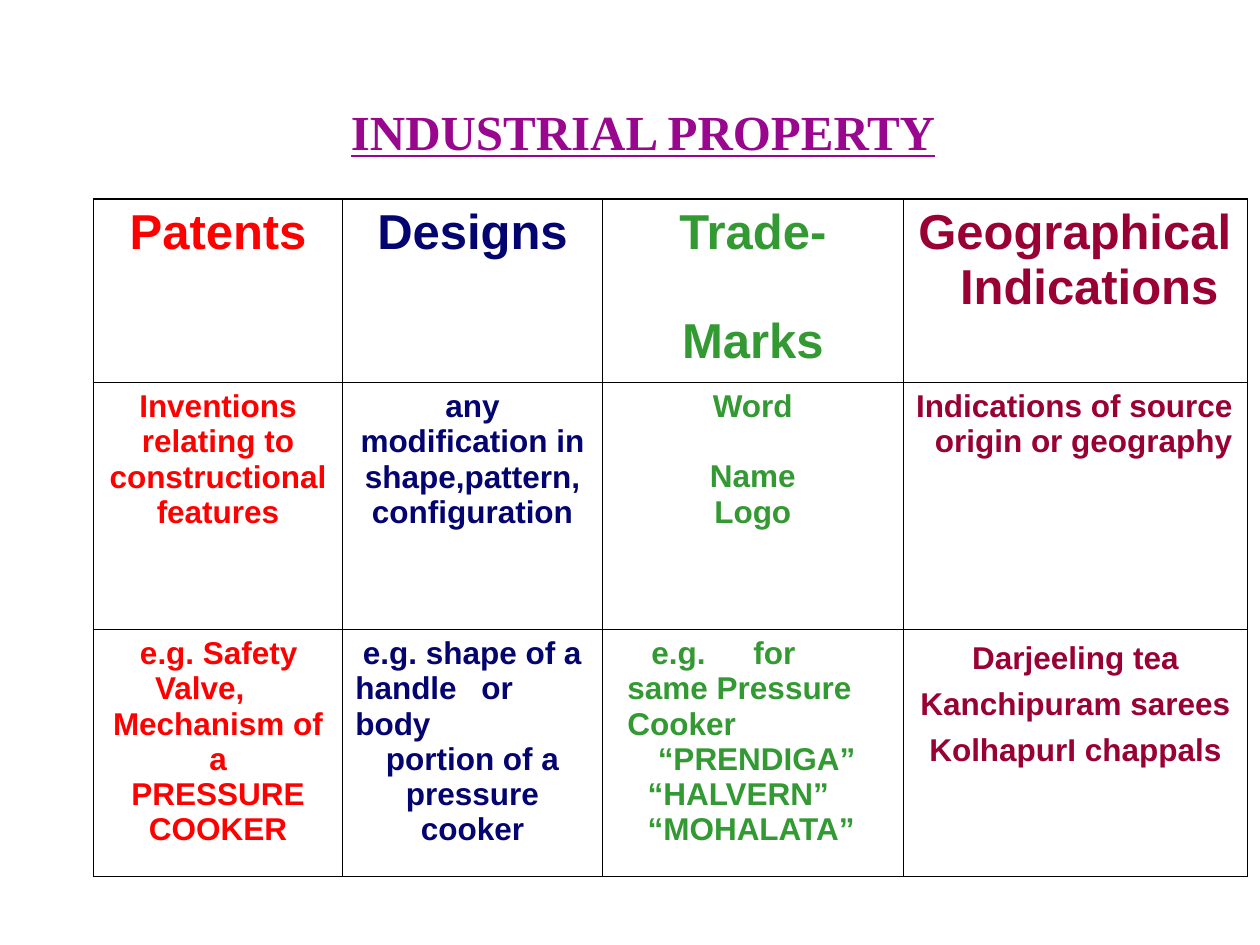
from dataclasses import dataclass

from lxml import etree
from pptx import Presentation
from pptx.dml.color import RGBColor
from pptx.enum.text import MSO_ANCHOR, MSO_AUTO_SIZE, PP_ALIGN
from pptx.oxml.ns import qn
from pptx.util import Pt

CENTER, LEFT = PP_ALIGN.CENTER, PP_ALIGN.LEFT
TOP = MSO_ANCHOR.TOP
FIT_SHAPE = MSO_AUTO_SIZE.SHAPE_TO_FIT_TEXT

PURPLE = RGBColor(0x99, 0x07, 0x8F)
RED = RGBColor(0xFF, 0x00, 0x00)
NAVY = RGBColor(0x04, 0x04, 0x70)
GREEN = RGBColor(0x33, 0x99, 0x33)
MAROON = RGBColor(0x99, 0x00, 0x33)
BLACK = RGBColor(0x00, 0x00, 0x00)

HEADING_SIZE, BODY_SIZE = 28, 18
COLUMN_COLORS = [RED, NAVY, GREEN, MAROON]
COLUMN_WIDTHS = [142.6, 148.3, 172.1, 196.6]
ROW_HEIGHTS = [105.1, 141.1, 141.1]


@dataclass
class Line:
    """A paragraph; it is centred unless it has a left margin. Lengths in points."""
    text: str
    margin: float = 0
    indent: float = 0
    before: float = 0
    spacing: float = 0
    tab: float = 0


ROWS = [
    # Kinds of property
    [
        [Line("Patents", before=3.5)],
        [Line("Designs", before=3.5)],
        [Line("Trade-", before=3.5), Line("Marks", before=31)],
        [Line("Geographical\vIndications", 32.4, -23.8, 3.5)],
    ],
    # What each one protects
    [
        [Line("Inventions\vrelating to\vconstructional\vfeatures", before=3.6)],
        [Line("any\vmodification in\vshape,pattern,\vconfiguration", before=3.6)],
        [Line("Word", before=3.6), Line("Name\vLogo", before=20)],
        [Line("Indications of source\vorigin or geography", 18, -10.8, 3.6)],
    ],
    # Examples
    [
        [Line("e.g. Safety\vValve,", 35.3, -8.6, 3.5),
         Line("Mechanism of\va\vPRESSURE\vCOOKER")],
        [Line("e.g. shape of a\vhandle\tor\vbody", 7.2, 4.3, 3.5, tab=75.6),
         Line("portion of a\vpressure\vcooker")],
        [Line("e.g.\tfor\vsame Pressure\vCooker", 14.4, 13.7, 3.5, tab=69.1),
         Line("“PRENDIGA”\v“HALVERN”\v“MOHALATA”", 25.9, 5.8)],
        [Line("Darjeeling tea\vKanchipuram sarees\vKolhapurI chappals",
              before=0.7, spacing=26.1)],
    ],
]


class SlideWriter:
    def __init__(self, page, font_name):
        self.page = page
        self.font_name = font_name

    def style(self, font, size, color, name=None):
        font.name = name or self.font_name
        font.size = Pt(size)
        font.bold = True
        font.color.rgb = color

    def title(self, text, left, top, width, height):
        box = self.page.shapes.title
        box.left, box.top, box.width, box.height = map(Pt, (left, top, width, height))
        frame = box.text_frame
        frame.text = text
        frame.word_wrap = True
        frame.auto_size = FIT_SHAPE
        frame.vertical_anchor = TOP
        frame.margin_left = frame.margin_right = frame.margin_bottom = 0
        frame.margin_top = Pt(1)
        para = frame.paragraphs[0]
        para.alignment = LEFT
        para.space_before = Pt(1)
        self.style(para.font, HEADING_SIZE, PURPLE, "Times New Roman")
        para.font.underline = True

    def paragraph(self, para, line, size, color):
        para.text = line.text
        para.alignment = LEFT if line.margin else CENTER
        para.space_before = Pt(line.before)
        if line.spacing:
            para.line_spacing = Pt(line.spacing)
        properties = para._p.get_or_add_pPr()
        properties.set("marL", str(Pt(line.margin)))
        properties.set("indent", str(Pt(line.indent)))
        if line.tab:
            tabs = etree.SubElement(properties, qn("a:tabLst"))
            etree.SubElement(tabs, qn("a:tab"), pos=str(Pt(line.tab)), algn="l")
        self.style(para.font, size, color)

    def borders(self, cell, widths):
        properties = cell._tc.get_or_add_tcPr()
        for index, (side, width) in enumerate(widths.items()):
            border = etree.Element(qn(f"a:ln{side}"), w=str(Pt(width)))
            fill = etree.SubElement(border, qn("a:solidFill"))
            etree.SubElement(fill, qn("a:srgbClr"), val=str(BLACK))
            properties.insert(index, border)

    def cell(self, cell, lines, size, color):
        cell.fill.background()
        cell.vertical_anchor = TOP
        cell.margin_left = cell.margin_right = cell.margin_bottom = 0
        cell.margin_top = Pt(0.7 if lines[0].spacing else 3.6)
        frame = cell.text_frame
        for index, line in enumerate(lines):
            para = frame.add_paragraph() if index else frame.paragraphs[0]
            self.paragraph(para, line, size, color)

    def table(self, rows, left, top):
        last_row, last_column = len(rows) - 1, len(COLUMN_WIDTHS) - 1
        table = self.page.shapes.add_table(
            len(rows), len(COLUMN_WIDTHS), Pt(left), Pt(top),
            Pt(sum(COLUMN_WIDTHS)), Pt(sum(ROW_HEIGHTS))).table
        table.first_row = table.horz_banding = False
        for column, width in zip(table.columns, COLUMN_WIDTHS):
            column.width = Pt(width)
        for r, (row, height) in enumerate(zip(rows, ROW_HEIGHTS)):
            table.rows[r].height = Pt(height)
            size = BODY_SIZE if r else HEADING_SIZE
            for c, lines in enumerate(row):
                cell = table.cell(r, c)
                self.cell(cell, lines, size, COLUMN_COLORS[c])
                # The outer frame is heavier than the inner grid
                self.borders(cell, {
                    "L": 0.5 if c else 1,
                    "R": 1 if c == last_column else 0.5,
                    "T": 0.5 if r else 1,
                    "B": 1 if r == last_row else 0.5,
                })


def main():
    deck = Presentation()
    deck.slide_width, deck.slide_height = Pt(720), Pt(540)
    page = deck.slides.add_slide(deck.slide_layouts[5])
    writer = SlideWriter(page, "Arial")

    # Title
    writer.title("INDUSTRIAL PROPERTY", 200.5, 57, 338, 35)

    # Comparison table
    writer.table(ROWS, 53.3, 113.6)

    deck.save("out.pptx")


if __name__ == "__main__":
    main()
